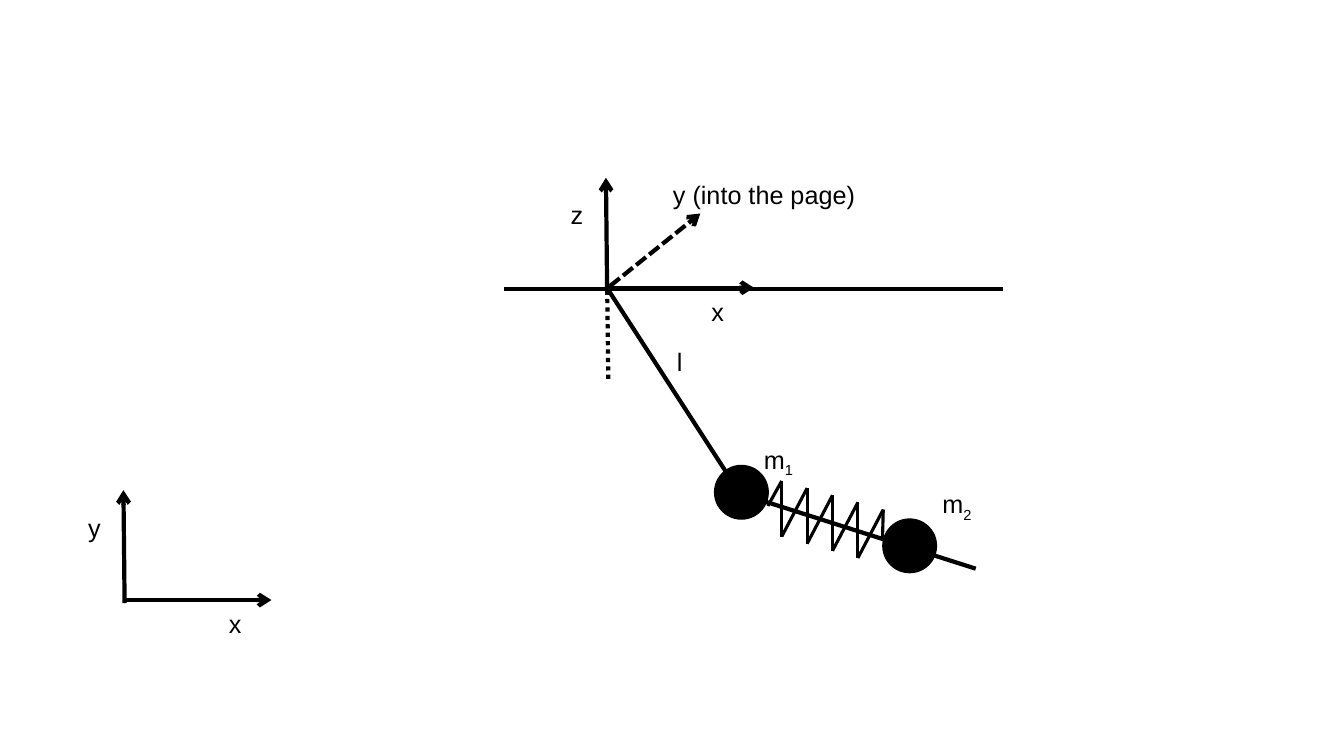
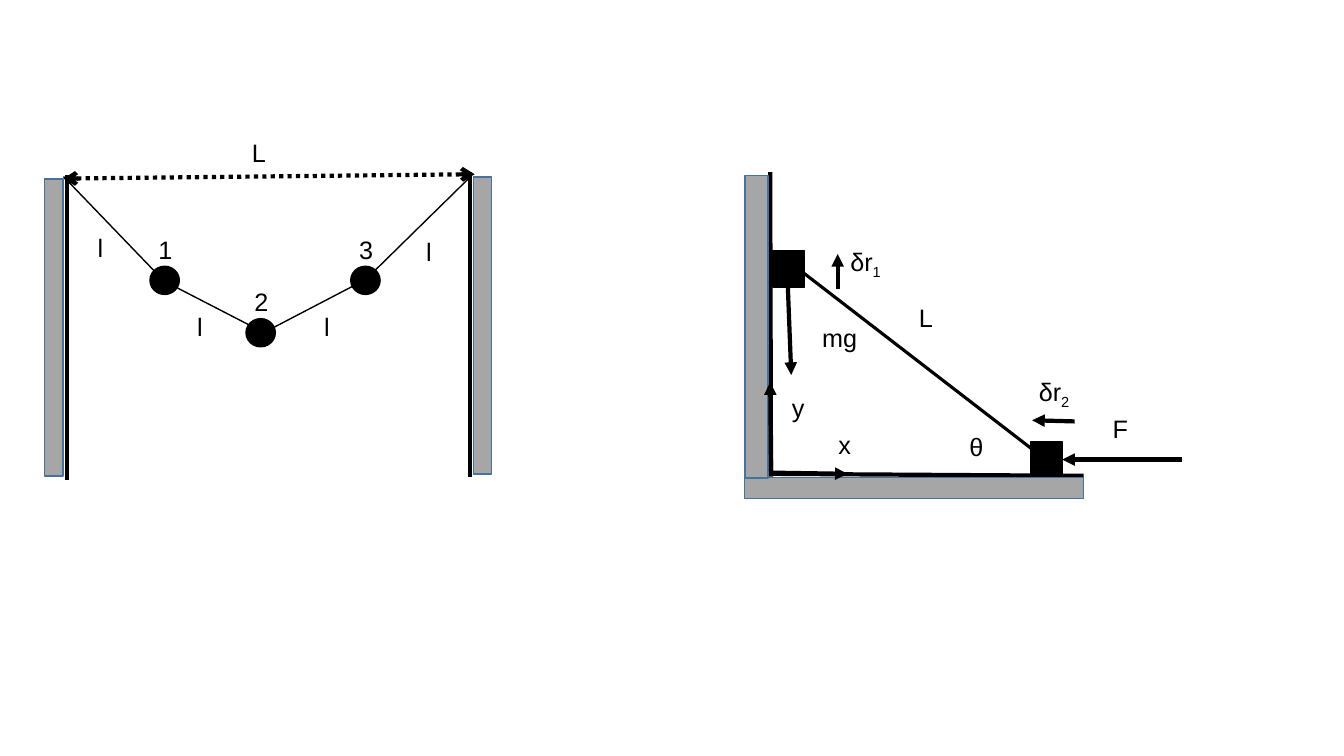
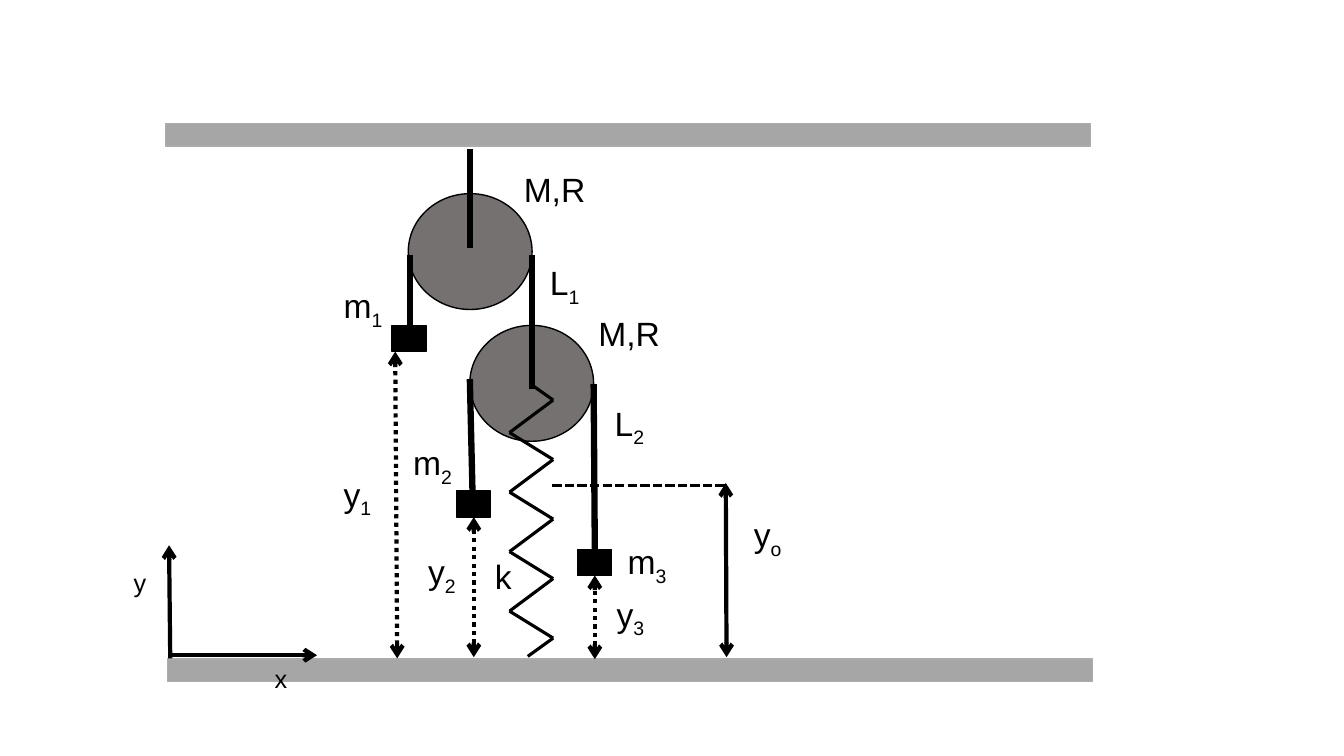
from dataclasses import dataclass
from itertools import pairwise

from lxml import etree
from pptx import Presentation
from pptx import util as u
from pptx.dml.color import RGBColor
from pptx.enum import dml, shapes, text
from pptx.oxml.ns import qn


@dataclass(frozen=True)
class Theme:
    """Colours, type sizes and line widths in points."""
    font: str = "Arial"
    ink: str = "000000"
    slab: str = "A6A6A6"
    rim: str = "43739E"
    edge: str = "AFABAB"
    wheel: str = "767171"
    small: int = 18
    large: int = 24
    hair: float = 1
    thin: float = 2.25
    bold: float = 3
    rope: float = 4.5


LOOK = Theme()
DOT = dml.MSO_LINE.ROUND_DOT
DASH = dml.MSO_LINE.SQUARE_DOT
OVAL = shapes.MSO_SHAPE.OVAL
RECT = shapes.MSO_SHAPE.RECTANGLE


class Sketch:
    """Draws diagram parts on the current slide, with lengths in centimetres."""

    def __init__(self, deck, look):
        """Keep the deck and its theme."""
        self.deck = deck
        self.look = look
        self.slide = None

    def page(self):
        """Start a blank slide."""
        self.slide = self.deck.slides.add_slide(self.deck.slide_layouts[6])

    def line(self, start, end, width=LOOK.bold, dash=None, head=None, tail=None):
        """Draw a straight line with optional arrowheads."""
        link = self.slide.shapes.add_connector(
            shapes.MSO_CONNECTOR.STRAIGHT, *map(u.Cm, (*start, *end)))
        link.line.color.rgb = RGBColor.from_string(self.look.ink)
        link.line.width = u.Pt(width)
        if dash:
            link.line.dash_style = dash
        stroke = link.line._get_or_add_ln()
        for tag, kind in (("a:headEnd", head), ("a:tailEnd", tail)):
            if kind:
                etree.SubElement(stroke, qn(tag), type=kind)
        etree.SubElement(link._element.spPr, qn("a:effectLst"))

    def chain(self, points, width):
        """Join successive points with lines."""
        for start, end in pairwise(points):
            self.line(start, end, width)

    def shape(self, kind, box, fill=LOOK.ink, edge=LOOK.ink):
        """Draw a filled preset shape."""
        item = self.slide.shapes.add_shape(kind, *map(u.Cm, box))
        item.shadow.inherit = False
        item.fill.solid()
        item.fill.fore_color.rgb = RGBColor.from_string(fill)
        item.line.color.rgb = RGBColor.from_string(edge)
        item.line.width = u.Pt(self.look.hair)

    def label(self, words, left, top, width, size=LOOK.small):
        """Write a label, with any part after an underscore as a subscript."""
        tall = 1.03 if size == self.look.small else 1.28
        box = self.slide.shapes.add_textbox(*map(u.Cm, (left, top, width, tall)))
        frame = box.text_frame
        frame.word_wrap = False
        frame.auto_size = text.MSO_AUTO_SIZE.SHAPE_TO_FIT_TEXT
        base, _, low = words.partition("_")
        frame.text = base
        para = frame.paragraphs[0]
        if low:
            run = para.add_run()
            run.text = low
            run.font._element.set("baseline", "-25000")
        for run in para.runs:
            run.font.name = self.look.font
            run.font.size = u.Pt(size)
            run.font.color.rgb = RGBColor.from_string(self.look.ink)

    def axes(self, left, top, rise="y"):
        """Draw two labelled axes from an origin."""
        self.line((left, top), (left + 3.7, top), tail="arrow")
        self.line((left, top + 0.08), (left - 0.03, top - 2.77), tail="arrow")
        self.label("x", left + 2.38, top + 0.08, 0.84)
        self.label(rise, left - 1.17, top - 2.34, 0.84)


def swing(art):
    """Draw the pendulum with a spring between two masses."""
    art.page()
    art.axes(3.14, 15.12)
    art.line((12.7, 7.29), (25.27, 7.29))
    for left, top in ((18.01, 11.73), (22.25, 13.08)):
        art.shape(OVAL, (left, top, 1.35, 1.35))
    art.axes(15.3, 7.25, "z")
    art.line((15.3, 7.26), (18.69, 12.5))
    art.line((18.69, 12.45), (24.59, 14.33))
    art.line((15.3, 7.11), (15.33, 9.58), dash=DOT)
    art.line((15.37, 7.21), (17.65, 5.38), dash=DASH, tail="arrow")
    art.label("l", 16.81, 8.59, 0.66)
    art.label("m_1", 19, 11.07, 1.3)
    art.label("m_2", 23.5, 12.19, 1.3)
    art.label("y (into the page)", 16.71, 4.39, 5.16)
    coil = [(19.35, 12.75)]
    for turn in range(5):
        left, drop = 19.7 + 0.64 * turn, 0.18 * turn
        coil += [(left, 12.12 + drop), (left, 13.52 + drop)]
    coil[-1] = (22.24, 13.61)
    art.chain(coil, LOOK.thin)


def beads(art):
    """Draw three beads on a string between two posts."""
    for left, top in ((1.68, 4.42), (11.84, 4.34)):
        art.line((left, top + 7.67), (left, top))
    art.chain([(1.6, 4.45), (4.13, 7.08), (6.65, 8.38), (9.22, 7.04),
               (11.86, 4.45)], LOOK.hair)
    spots = ((3.78, 6.71), (6.2, 8.03), (8.84, 6.71))
    for count, (left, top) in enumerate(spots, 1):
        art.shape(OVAL, (left, top, 0.74, 0.71))
        art.label(str(count), left - 0.04, top - 0.93, 0.86)
    for left, top in ((2.21, 5.74), (4.72, 7.72), (7.92, 7.72), (10.49, 5.84)):
        art.label("l", left, top, 0.66)
    art.line((1.6, 4.5), (11.96, 4.39), dash=DOT, head="arrow", tail="arrow")
    art.label("L", 6.1, 3.33, 0.86)
    for left, top in ((11.93, 4.46), (1.13, 4.51)):
        art.shape(RECT, (left, top, 0.46, 7.49), LOOK.slab, LOOK.rim)


def ladder(art):
    """Draw the rod that slides between wall and floor."""
    art.line((19.43, 12.01), (19.41, 4.34))
    art.line((27.31, 11.99), (19.46, 11.94))
    for left, top in ((19.48, 6.32), (25.98, 11.13)):
        art.shape(RECT, (left, top, 0.79, 0.91))
    art.line((26.39, 11.61), (19.89, 6.6), LOOK.thin)
    for box in ((18.77, 12.04, 8.53, 0.53), (18.78, 4.43, 0.58, 7.62)):
        art.shape(RECT, box, LOOK.slab, LOOK.rim)
    for start, end in (
            ((29.79, 11.58), (26.77, 11.58)),
            ((19.84, 6.86), (19.94, 9.45)),
            ((19.43, 11.89), (19.41, 9.63)),
            ((19.46, 11.91), (21.36, 11.94)),
            ((27.08, 10.62), (26.01, 10.59)),
            ((21.11, 7.29), (21.11, 6.4))):
        art.line(start, end, tail="triangle")
    for words, left, top, width in (
            ("θ", 24.18, 10.74, 0.86),
            ("F", 27.79, 10.29, 0.91),
            ("mg", 20.47, 8, 1.4),
            ("x", 20.88, 10.69, 0.84),
            ("y", 19.71, 9.75, 0.84),
            ("δr_1", 21.18, 6.07, 1.32),
            ("δr_2", 25.93, 9.35, 1.32),
            ("L", 22.91, 7.49, 0.86)):
        art.label(words, left, top, width)


def pulleys(art):
    """Draw two pulleys, three masses and a spring."""
    art.page()
    for left, top in ((11.84, 8.2), (10.29, 4.88)):
        art.shape(OVAL, (left, top, 3.12, 2.92), LOOK.wheel)
    for left, top in ((4.17, 3.12), (4.22, 16.61)):
        art.shape(RECT, (left, top, 23.32, 0.56), LOOK.slab, LOOK.edge)
    for start, end in (
            ((11.84, 6.25), (11.84, 3.76)),
            ((10.34, 8.2), (10.34, 6.43)),
            ((13.41, 9.8), (13.41, 6.43)),
            ((11.91, 12.5), (11.84, 9.55)),
            ((14.99, 13.87), (14.96, 9.68))):
        art.line(start, end, LOOK.rope)
    for left, top in ((9.88, 8.2), (11.51, 12.37), (14.55, 13.84)):
        art.shape(RECT, (left, top, 0.86, 0.66))
    coil = [(13.4, 9.7)]
    for turn in range(5):
        drop = 1.5 * turn
        coil += [(13.94, 10.08 + drop), (12.84, 10.9 + drop)]
    coil[-1] = (13.3, 16.54)
    art.chain(coil, LOOK.thin)
    art.axes(4.29, 16.51)
    art.line((18.31, 16.56), (18.29, 12.17), head="arrow", tail="arrow")
    art.line((13.92, 12.24), (18.31, 12.24), LOOK.thin, DASH)
    for start, end in (
            ((10.01, 16.59), (9.96, 8.86)),
            ((11.94, 16.56), (11.94, 13.03)),
            ((14.99, 16.61), (14.99, 14.5))):
        art.line(start, end, dash=DOT, head="arrow", tail="arrow")
    for words, left, top, width in (
            ("m_1", 8.41, 7.06, 1.55),
            ("m_2", 10.16, 11.02, 1.55),
            ("m_3", 15.57, 13.51, 1.55),
            ("L_1", 13.61, 6.48, 1.3),
            ("L_2", 15.24, 10.03, 1.3),
            ("M,R", 12.95, 4.14, 2.08),
            ("M,R", 14.83, 7.75, 2.08),
            ("k", 12.22, 13.89, 0.94),
            ("y_o", 18.75, 12.83, 1.24),
            ("y_1", 8.41, 11.81, 1.24),
            ("y_2", 10.54, 13.77, 1.24),
            ("y_3", 15.29, 14.83, 1.24)):
        art.label(words, left, top, width, LOOK.large)


def main():
    """Build and save the deck."""
    deck = Presentation()
    deck.slide_width, deck.slide_height = u.Cm(33.87), u.Cm(19.05)
    art = Sketch(deck, LOOK)
    swing(art)
    art.page()
    beads(art)
    ladder(art)
    pulleys(art)
    deck.save("out.pptx")


if __name__ == "__main__":
    main()
